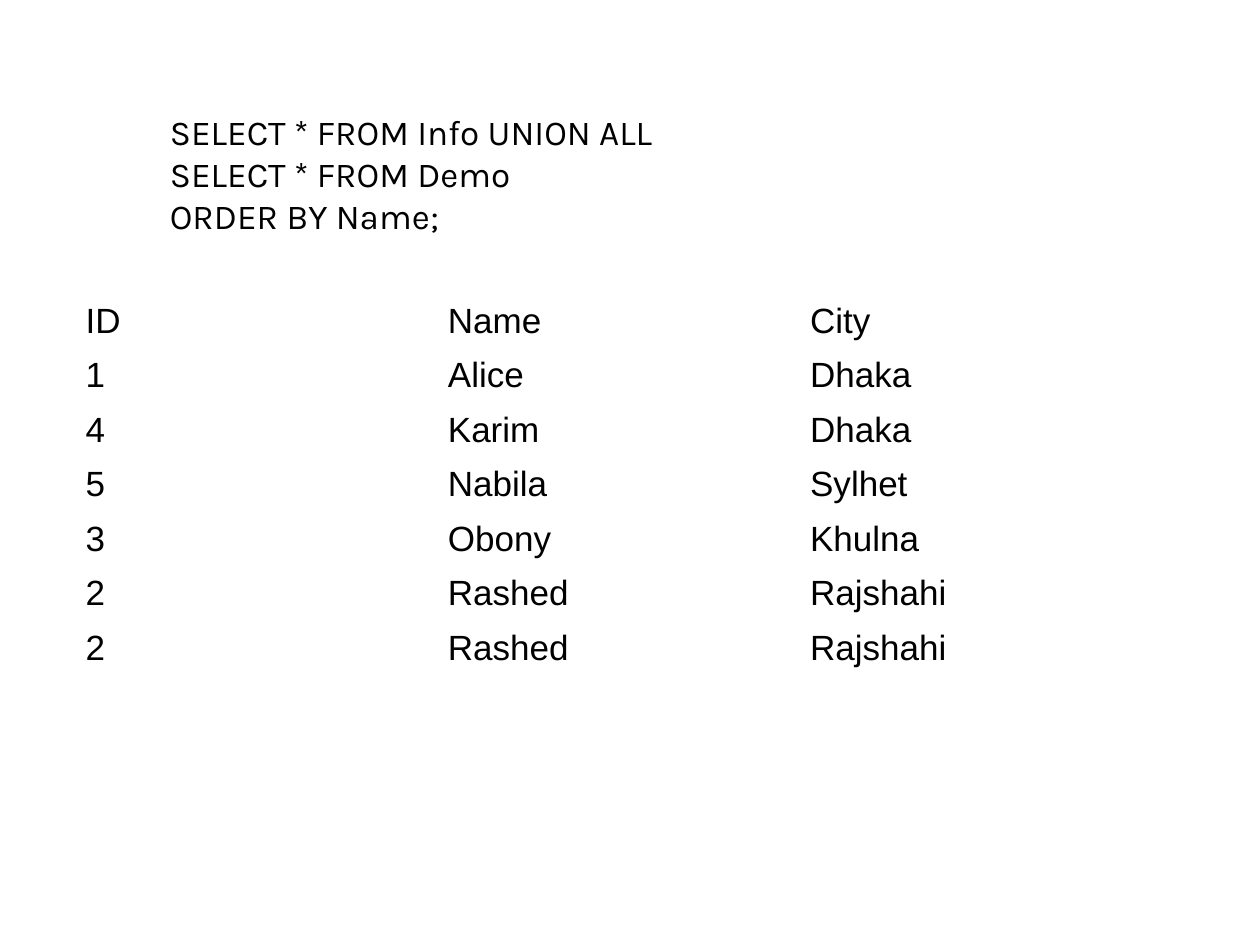
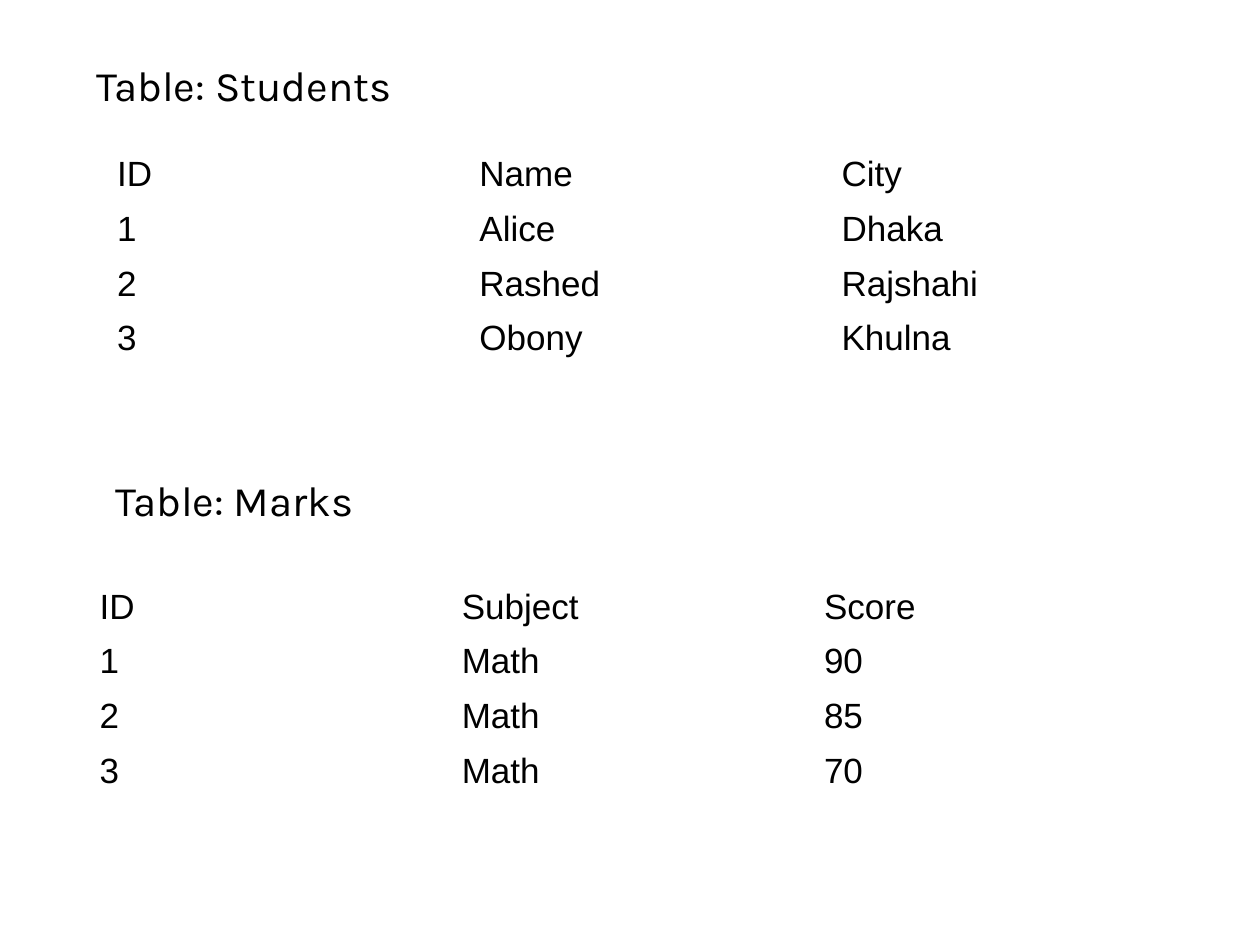
"""Build two slides on SQL: a UNION ALL result and the Students and Marks tables."""
import pptx
import pptx.dml.color
import pptx.enum.text
import pptx.util

Inches = pptx.util.Inches
COLORS = {"text": "000000", "background": "FFFFFF"}
COLUMN_WIDTH = 2.875


def write_text(frame, text, font="Arial", size=20):
    frame.text = text
    for paragraph in frame.paragraphs:
        paragraph.font.name = font
        paragraph.font.size = pptx.util.Pt(size)
        paragraph.font.bold = False
        paragraph.font.color.rgb = pptx.dml.color.RGBColor.from_string(COLORS["text"])


presentation = pptx.Presentation()
presentation.slide_width = Inches(10)
presentation.slide_height = Inches(7.5)

union_result = [
    ("ID", "Name", "City"),
    ("1", "Alice", "Dhaka"),
    ("4", "Karim", "Dhaka"),
    ("5", "Nabila", "Sylhet"),
    ("3", "Obony", "Khulna"),
    ("2", "Rashed", "Rajshahi"),
    ("2", "Rashed", "Rajshahi"),
]
students = [
    ("ID", "Name", "City"),
    ("1", "Alice", "Dhaka"),
    ("2", "Rashed", "Rajshahi"),
    ("3", "Obony", "Khulna"),
]
marks = [
    ("ID", "Subject", "Score"),
    ("1", "Math", "90"),
    ("2", "Math", "85"),
    ("3", "Math", "70"),
]
union_query = "SELECT * FROM Info UNION ALL\nSELECT * FROM Demo\nORDER BY Name;"

slide_contents = [
    {
        "captions": [(union_query, 20, (1.25, 0.83, 7, 1.11))],
        "tables": [(union_result, 0.58, 2.33, 3.03)],
    },
    {
        "captions": [
            ("Table: Students", 24, (0.67, 0.42, 5, 0.5)),
            ("Table: Marks", 24, (0.82, 3.72, 5, 0.5)),
        ],
        "tables": [(students, 0.83, 1.17, 1.73), (marks, 0.69, 4.6, 1.73)],
    },
]

for content in slide_contents:
    slide = presentation.slides.add_slide(presentation.slide_layouts[6])
    slide.background.fill.solid()
    slide.background.fill.fore_color.rgb = pptx.dml.color.RGBColor.from_string(
        COLORS["background"]
    )

    for records, left, top, height in content["tables"]:
        grid = slide.shapes.add_table(
            len(records), len(records[0]), Inches(left), Inches(top),
            Inches(COLUMN_WIDTH * len(records[0])), Inches(height),
        ).table
        grid.first_row = False
        grid.horz_banding = False
        for row, record in enumerate(records):
            for column, value in enumerate(record):
                cell = grid.cell(row, column)
                cell.fill.background()
                cell.vertical_anchor = pptx.enum.text.MSO_ANCHOR.MIDDLE
                write_text(cell.text_frame, value)

    for text, size, position in content["captions"]:
        caption = slide.shapes.add_textbox(*map(Inches, position)).text_frame
        caption.word_wrap = True
        caption.auto_size = pptx.enum.text.MSO_AUTO_SIZE.SHAPE_TO_FIT_TEXT
        write_text(caption, text, font="Karla", size=size)

presentation.save("out.pptx")
